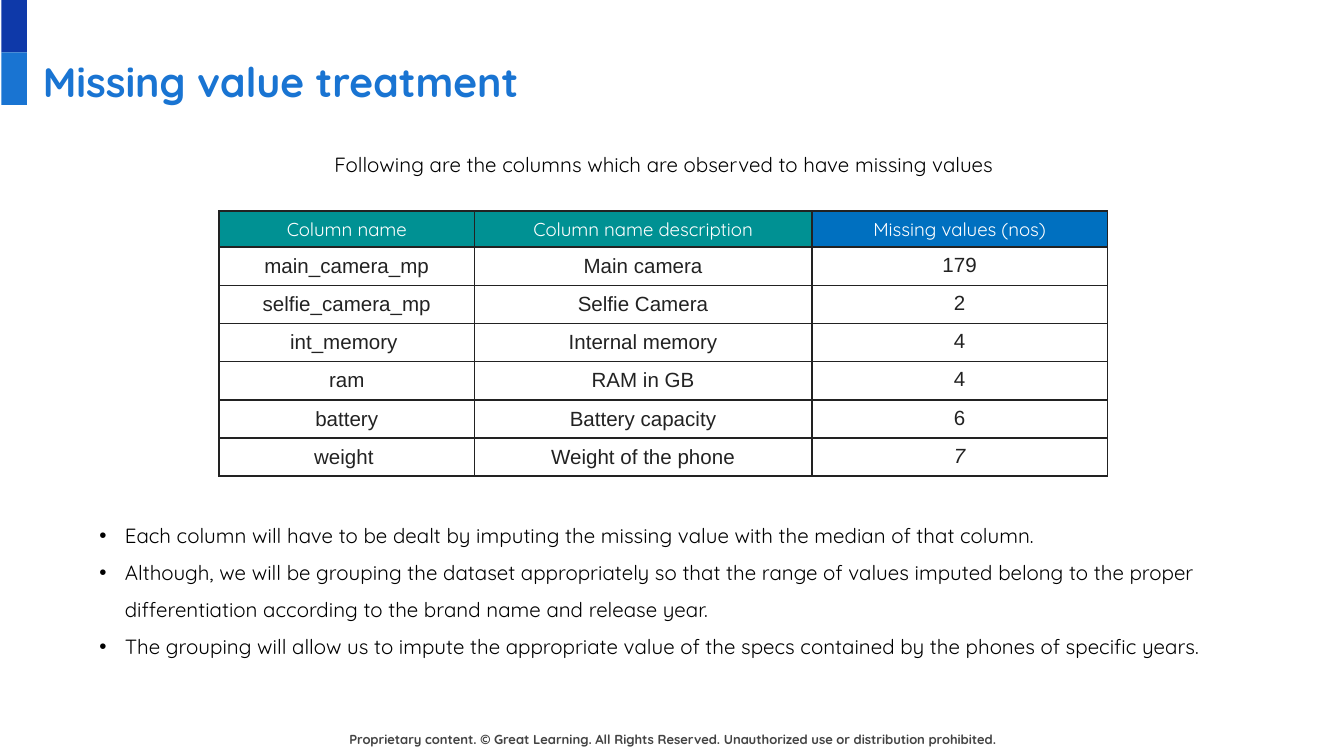
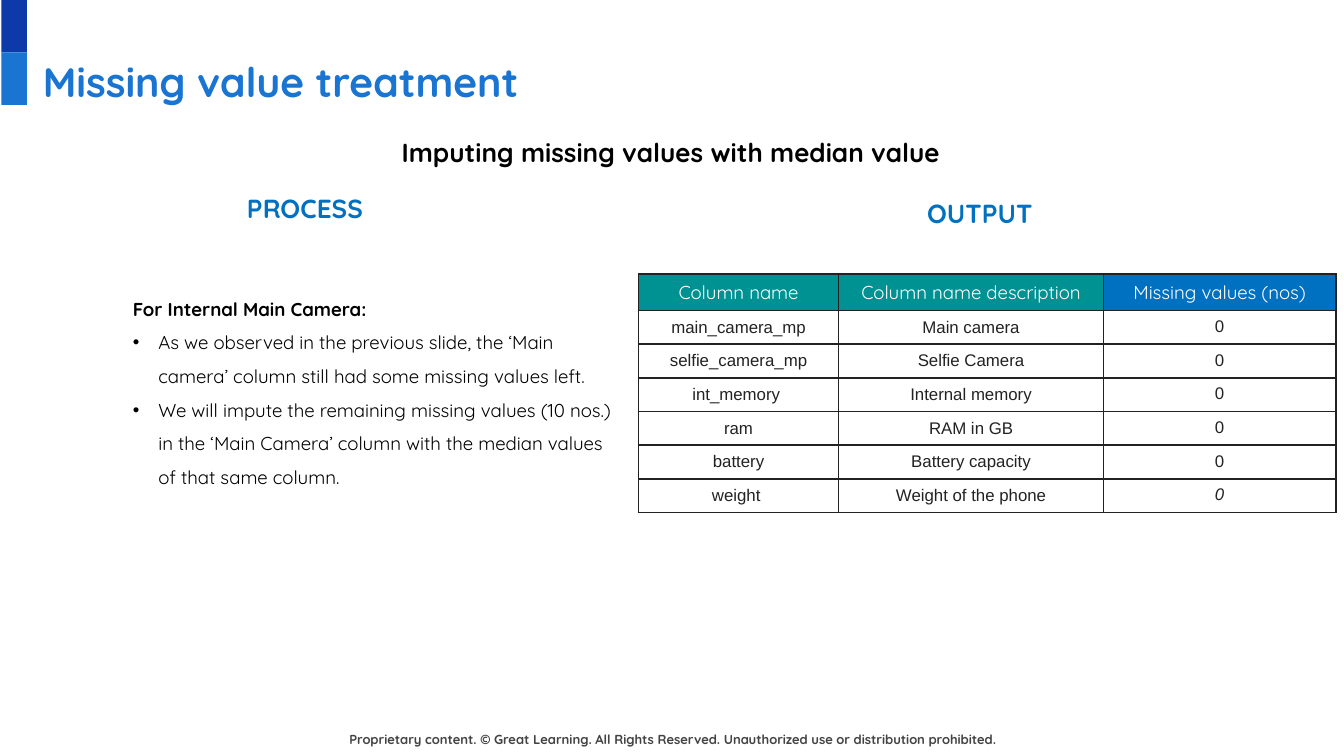
from lxml import etree
from pptx import Presentation
from pptx.dml.color import RGBColor
from pptx.enum.shapes import MSO_SHAPE
from pptx.enum.text import MSO_ANCHOR, PP_ALIGN
from pptx.oxml.ns import qn
from pptx.util import Inches, Pt

CENTER, LEFT = PP_ALIGN.CENTER, PP_ALIGN.LEFT
TOP, MIDDLE = MSO_ANCHOR.TOP, MSO_ANCHOR.MIDDLE
RECTANGLE = MSO_SHAPE.RECTANGLE

COLORS = {
    "navy": "0E39A9", "blue": "1974D2", "heading": "0070C0", "teal": "009193",
    "ink": "222222", "footer": "434343", "black": "000000", "white": "FFFFFF",
}
STYLES = {
    "title": {"size": 22, "bold": True, "color": "blue"},
    "footer": {"size": 7, "bold": True, "color": "footer"},
    "body": {"size": 11, "color": "black"},
    "small": {"size": 10, "color": "black"},
    "small_bold": {"size": 10, "bold": True, "color": "black"},
    "subtitle": {"size": 14, "bold": True, "color": "black"},
    "label": {"size": 14, "bold": True, "color": "heading"},
    "table_header": {"size": 10, "color": "white"},
}
TITLE = "Missing value treatment"
FOOTER = ("Proprietary content. © Great Learning. All Rights Reserved. "
          "Unauthorized use or distribution prohibited.")
HEADERS = ["Column name", "Column name description", "Missing values (nos)"]
HEADER_FILLS = ["teal", "teal", "heading"]
HEADER_HEIGHT = 0.27
COLUMNS = [
    ("main_camera_mp", "Main camera"),
    ("selfie_camera_mp", "Selfie Camera"),
    ("int_memory ", "Internal memory"),
    ("ram", "RAM in GB"),
    ("battery", "Battery capacity"),
    ("weight ", "Weight of the phone"),
]
TREATMENT = [
    "Each column will have to be dealt by imputing the missing value with the median of that column.",
    "Although, we will be grouping the dataset appropriately so that the range of values imputed "
    "belong to the proper differentiation according to the brand name and release year.",
    "The grouping will allow us to impute the appropriate value of the specs contained by the "
    "phones of specific years.",
]
PROCESS = [
    "As we observed in the previous slide, the ‘Main camera’ column still had some missing values left.",
    "We will impute the remaining missing values (10 nos.) in the ‘Main Camera’ column with the "
    "median values of that same column.",
]


def rgb(name):
    """Return the named colour."""
    return RGBColor.from_string(COLORS[name])


def write(paragraph, text, style, align=LEFT, spacing=None):
    """Put one styled run into a paragraph."""
    paragraph.alignment = align
    if spacing:
        paragraph.line_spacing = spacing
    run = paragraph.add_run()
    run.text = text
    values = {"name": "Quicksand", "bold": False, "italic": False, **style}
    run.font.color.rgb = rgb(values.pop("color"))
    values["size"] = Pt(values["size"])
    for attribute, value in values.items():
        setattr(run.font, attribute, value)


def add_bullet(paragraph):
    """Give a paragraph a hanging black bullet."""
    properties = paragraph._p.get_or_add_pPr()
    properties.set("marL", str(Inches(0.19)))
    properties.set("indent", str(-Inches(0.19)))
    color = etree.SubElement(properties, qn("a:buClr"))
    etree.SubElement(color, qn("a:srgbClr"), val=COLORS["black"])
    etree.SubElement(properties, qn("a:buFont"), typeface="Arial")
    etree.SubElement(properties, qn("a:buChar"), char="•")


def add_text(slide, box, lines, align=LEFT, spacing=None, inset=0.1):
    """Add a text box from (text, style name, bulleted) lines."""
    frame = slide.shapes.add_textbox(*map(Inches, box)).text_frame
    margins = {"margin_left": 0.1, "margin_right": 0.1, "margin_top": inset, "margin_bottom": inset}
    for attribute, value in margins.items():
        setattr(frame, attribute, Inches(value))
    frame.word_wrap = True
    frame.vertical_anchor = TOP
    for index, (text, style, bulleted) in enumerate(lines):
        paragraph = frame.add_paragraph() if index else frame.paragraphs[0]
        if bulleted:
            add_bullet(paragraph)
        write(paragraph, text, STYLES[style], align, spacing)


def add_bands(slide, box):
    """Stack the two corner bands in a box."""
    left, top, width, height = box
    for index, name in enumerate(["navy", "blue"]):
        place = (left, top + index * height / 2, width, height / 2)
        band = slide.shapes.add_shape(RECTANGLE, *map(Inches, place))
        band.shadow.inherit = False
        band.fill.solid()
        band.fill.fore_color.rgb = rgb(name)
        band.line.fill.background()


def add_borders(cell):
    """Draw a thin dark line on each side of a cell."""
    properties = cell._tc.get_or_add_tcPr()
    for side in ("lnL", "lnR", "lnT", "lnB"):
        line = etree.SubElement(properties, qn(f"a:{side}"), w=str(Pt(1)))
        fill = etree.SubElement(line, qn("a:solidFill"))
        etree.SubElement(fill, qn("a:srgbClr"), val=COLORS["ink"])


def add_missing_table(slide, box, widths, counts, size):
    """Add the table of missing values per column."""
    rows = [HEADERS] + [(*names, str(count)) for names, count in zip(COLUMNS, counts)]
    table = slide.shapes.add_table(len(rows), len(HEADERS), *map(Inches, box)).table
    table.horz_banding = False
    for column, width in zip(table.columns, widths):
        column.width = Inches(width)
    body_height = (box[3] - HEADER_HEIGHT) / len(COLUMNS)
    for row_index, texts in enumerate(rows):
        table.rows[row_index].height = Inches(body_height if row_index else HEADER_HEIGHT)
        for column_index, text in enumerate(texts):
            cell = table.cell(row_index, column_index)
            is_count = column_index == len(HEADERS) - 1
            add_borders(cell)
            if row_index:
                cell.fill.background()
                cell.vertical_anchor = TOP if is_count else MIDDLE
                style = {"name": "Arial", "size": size, "color": "ink",
                         "italic": is_count and row_index == len(COLUMNS)}
            else:
                cell.fill.solid()
                cell.fill.fore_color.rgb = rgb(HEADER_FILLS[column_index])
                style = STYLES["table_header"]
            write(cell.text_frame.paragraphs[0], text, style, CENTER)


def add_base_slide(presentation):
    """Add a slide with the shared footer, bands and title."""
    slide = presentation.slides.add_slide(presentation.slide_layouts[6])
    add_text(slide, (2.45, 5.38, 5.11, 0.33), [(FOOTER, "footer", False)], CENTER, 1.02)
    add_bands(slide, (0.01, 0, 0.19, 0.78))
    add_text(slide, (0.22, 0.32, 9.32, 0.63), [(TITLE, "title", False)])
    return slide


def build_overview(presentation):
    """Build the slide that counts missing values."""
    slide = add_base_slide(presentation)
    intro = "Following are the columns which are observed to have missing values"
    add_text(slide, (2.39, 0.94, 5.4, 0.48), [(intro, "body", False)], spacing=1.5)
    add_missing_table(slide, (1.63, 1.57, 6.61, 1.97), (1.9, 2.51, 2.2), (179, 2, 4, 4, 6, 7), 11)
    add_text(slide, (0.64, 3.7, 8.71, 1.31), [(text, "body", True) for text in TREATMENT], spacing=1.5)


def build_imputation(presentation):
    """Build the slide with the imputing process and its output."""
    slide = add_base_slide(presentation)
    lines = [("For Internal Main Camera:", "small_bold", False)]
    lines += [(text, "small", True) for text in PROCESS]
    add_text(slide, (0.89, 2.03, 3.8, 1.72), lines, spacing=1.5)
    add_missing_table(slide, (4.75, 2.04, 5.19, 1.77), (1.49, 1.97, 1.73), [0] * len(COLUMNS), 9)
    for text, left, top in (("PROCESS", 1.52, 1.38), ("OUTPUT", 6.54, 1.42)):
        add_text(slide, (left, top, 1.5, 0.35), [(text, "label", False)], CENTER, inset=0.05)
    subtitle = "Imputing missing values with median value"
    add_text(slide, (2.89, 0.8, 4.22, 0.56), [(subtitle, "subtitle", False)], spacing=1.5)


def main():
    """Build and save the presentation."""
    presentation = Presentation()
    presentation.slide_width = Inches(10)
    presentation.slide_height = Inches(10 * 9 / 16)
    build_overview(presentation)
    build_imputation(presentation)
    presentation.save("out.pptx")


if __name__ == "__main__":
    main()
